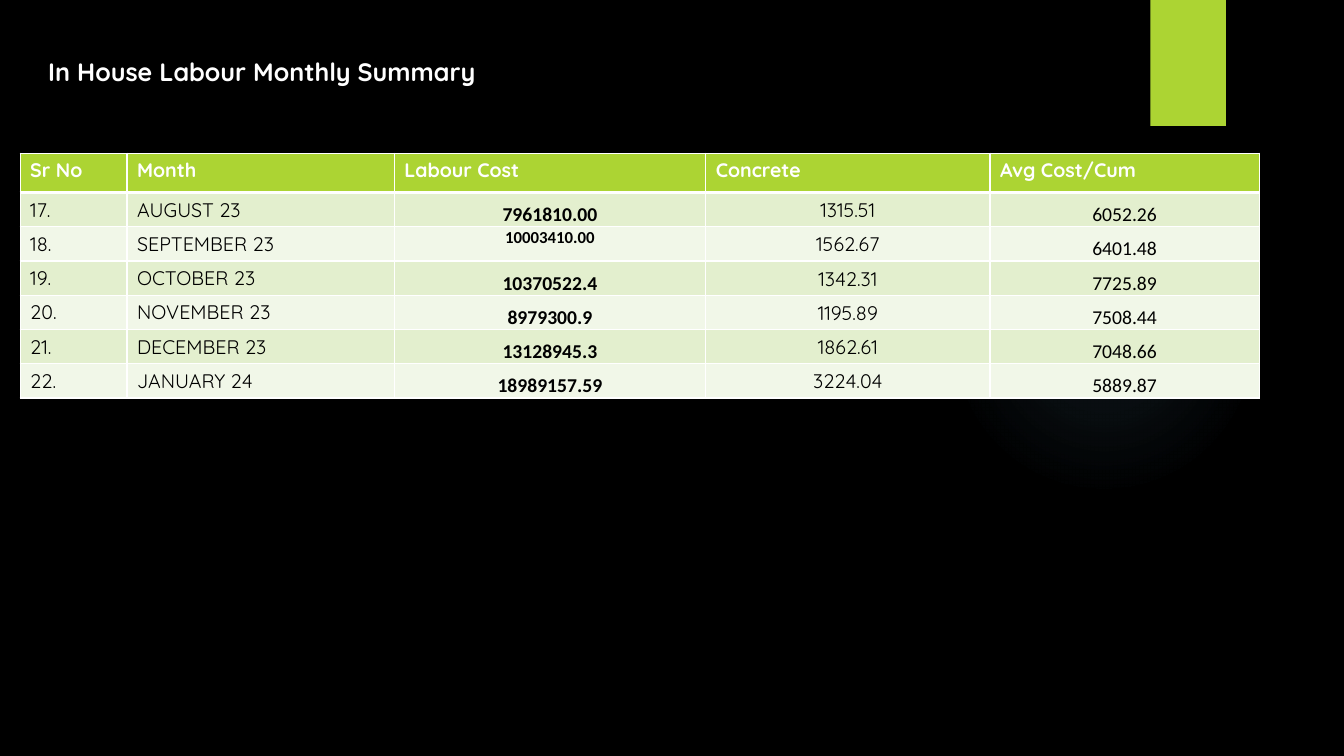
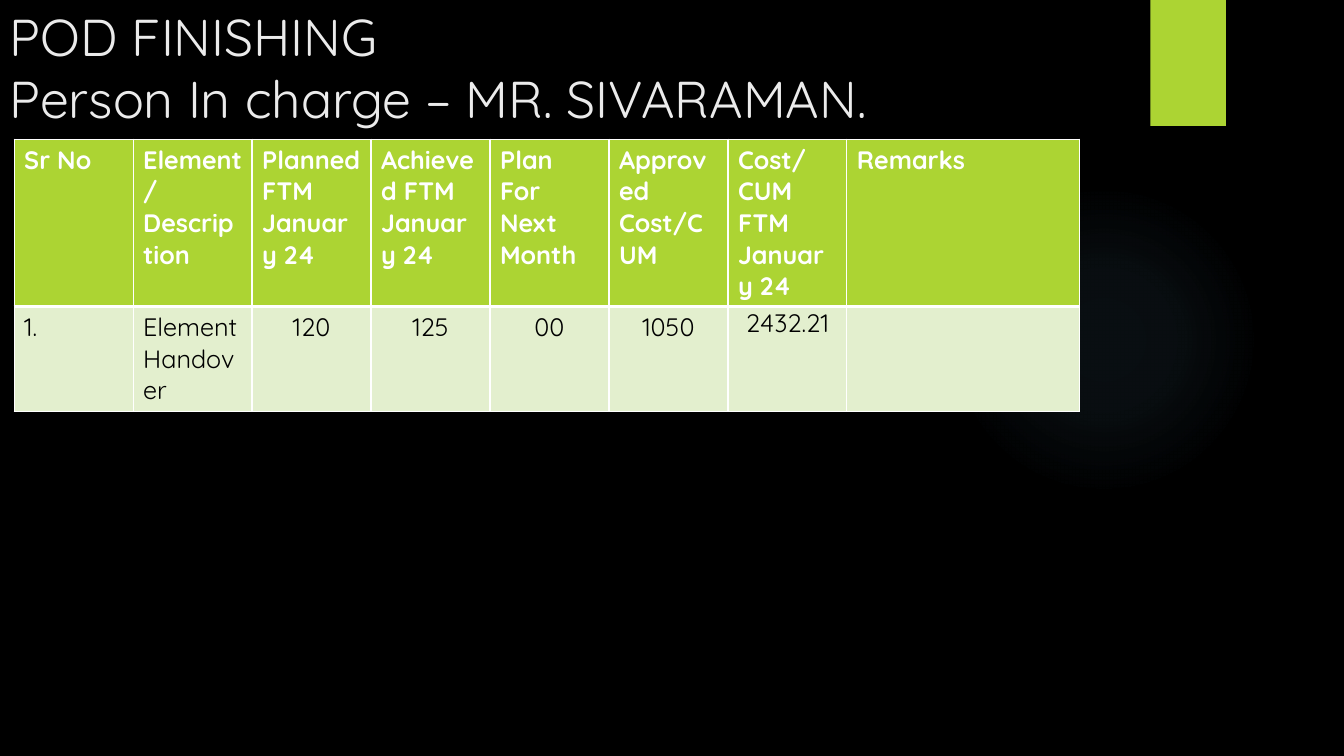
"""Build two dark slides with monthly labour and finishing tables."""
from dataclasses import dataclass, replace

from pptx import Presentation
from pptx.dml.color import RGBColor
from pptx.enum.shapes import MSO_SHAPE
from pptx.enum.text import MSO_ANCHOR, PP_ALIGN
from pptx.oxml import parse_xml
from pptx.oxml.ns import nsdecls, qn
from pptx.slide import Slide
from pptx.table import _Cell as Cell
from pptx.util import Inches, Pt

OVAL, RECT = MSO_SHAPE.OVAL, MSO_SHAPE.RECTANGLE
LEFT, MID = PP_ALIGN.LEFT, PP_ALIGN.CENTER
TOP, CORE, BASE = MSO_ANCHOR.TOP, MSO_ANCHOR.MIDDLE, MSO_ANCHOR.BOTTOM


@dataclass(frozen=True)
class Theme:
    """Colours, fonts and type sizes of the deck."""
    black: str = "000000"
    white: str = "FFFFFF"
    pale: str = "EBEBEB"
    lime: str = "ACD433"
    glow: str = "7AC4F0"
    bands: tuple[str, str] = ("E3EFCE", "F1F7E8")
    main: str = "Quicksand"
    plain: str = "Calibri"
    small: float = 12
    body: float = 14
    large: float = 18
    head: float = 37
    thin: float = 1
    thick: float = 3


THEME = Theme()


@dataclass(frozen=True)
class Style:
    """Look of a text run and of the cell that holds it."""
    size: float = THEME.body
    font: str = THEME.main
    ink: str = THEME.black
    bold: bool = False
    align: PP_ALIGN = LEFT
    anchor: MSO_ANCHOR = TOP
    tight: bool = False


@dataclass(frozen=True)
class Title:
    """Title lines with their box."""
    box: tuple[float, float, float, float]
    lines: tuple[str, ...]
    style: Style


@dataclass(frozen=True)
class Grid:
    """Table with its place, sizes, words and column styles."""
    left: float
    top: float
    cols: list[float]
    rows: list[float]
    cells: list[tuple[str, ...]]
    styles: list[Style]
    odd: dict[tuple[int, int], Style]


TEXT = Style()
COST = Style(font=THEME.plain, bold=True, align=MID, anchor=BASE, tight=True)
BIG = Style(size=THEME.large)
COUNT = replace(BIG, align=MID)

PAGES = [
    (
        Title((0.38, 0.51, 6.66, 0.71), ("In House Labour Monthly Summary",),
              Style(size=THEME.large, ink=THEME.white, bold=True)),
        Grid(
            0.2, 1.52, [1.06, 2.65, 3.09, 2.82, 2.67], [0.39] + [0.34] * 6,
            [
                ("Sr No", "Month", "Labour Cost", "Concrete", "Avg Cost/Cum"),
                ("17.", "AUGUST 23", "7961810.00", "1315.51", "6052.26"),
                ("18.", "SEPTEMBER 23", "10003410.00", "1562.67", "6401.48"),
                ("19.", "OCTOBER 23", "10370522.4", "1342.31", "7725.89"),
                ("20.", "NOVEMBER 23", "8979300.9", "1195.89", "7508.44"),
                ("21.", "DECEMBER 23", "13128945.3", "1862.61", "7048.66"),
                ("22.", "JANUARY 24", "18989157.59", "3224.04", "5889.87"),
            ],
            [TEXT, TEXT, COST, Style(align=MID, anchor=CORE, tight=True),
             replace(COST, bold=False)],
            {(2, 2): replace(COST, size=THEME.small, anchor=TOP)},
        ),
    ),
    (
        Title((0, 0, 9.65, 1.28),
              ("POD FINISHING", "Person In charge – MR. SIVARAMAN."),
              Style(size=THEME.head, ink=THEME.pale)),
        Grid(
            0.14, 1.38, [1.18] * 7 + [2.31], [1.66, 1.04],
            [
                ("Sr No", "Element/Description", "Planned FTM January 24",
                 "Achieved FTM January 24", "Plan For Next Month",
                 "Approved Cost/CUM", "Cost/CUM FTM January 24", "Remarks"),
                ("1.", "Element Handover", "120", "125", "00", "1050",
                 "2432.21", ""),
            ],
            [BIG] * 2 + [COUNT] * 4 + [replace(COUNT, tight=True), BIG],
            {},
        ),
    ),
]


def tint(code: str) -> RGBColor:
    """Turn a hex code into a colour."""
    return RGBColor.from_string(code)


def write(para, text: str, style: Style) -> None:
    """Add one styled run to a paragraph."""
    para.alignment = style.align
    run = para.add_run()
    run.text = text
    font = run.font
    font.name, font.size, font.bold = style.font, Pt(style.size), style.bold
    font.color.rgb = tint(style.ink)


def draw_back(slide: Slide) -> None:
    """Draw the black ground, the soft glow and the lime tab."""
    ground = slide.background.fill
    ground.solid()
    ground.fore_color.rgb = tint(THEME.black)

    glow = slide.shapes.add_shape(
        OVAL, Inches(9.41), Inches(1.83), Inches(3.08), Inches(3.08))
    glow.shadow.inherit = False
    glow.line.fill.background()
    glow.fill.background()
    stops = "".join(
        f'<a:gs pos="{pos * 1000}"><a:srgbClr val="{THEME.glow}">'
        f'<a:alpha val="{alpha * 1000}"/></a:srgbClr></a:gs>'
        for pos, alpha in ((0, 7), (36, 6), (69, 0), (100, 0)))
    props = glow.element.spPr
    props.replace(props.find(qn("a:noFill")), parse_xml(
        f'<a:gradFill {nsdecls("a")}><a:gsLst>{stops}</a:gsLst>'
        '<a:path path="circle"><a:fillToRect l="50000" t="50000" '
        'r="50000" b="50000"/></a:path></a:gradFill>'))

    tab = slide.shapes.add_shape(
        RECT, Inches(11.41), 0, Inches(0.75), Inches(1.25))
    tab.fill.solid()
    tab.fill.fore_color.rgb = tint(THEME.lime)
    tab.line.fill.background()
    tab.shadow.inherit = False
    tab.element.spPr.find(qn("a:effectLst")).append(parse_xml(
        f'<a:outerShdw {nsdecls("a")} blurRad="{Pt(3)}" dist="{Pt(2)}" '
        f'dir="5400000"><a:srgbClr val="{THEME.black}">'
        '<a:alpha val="45000"/></a:srgbClr></a:outerShdw>'))


def draw_title(slide: Slide, title: Title) -> None:
    """Draw the title, one line after another."""
    frame = slide.shapes.add_textbox(*map(Inches, title.box)).text_frame
    frame.word_wrap = True
    para = frame.paragraphs[0]
    for num, line in enumerate(title.lines):
        if num:
            para.add_line_break()
        write(para, line, title.style)


def edge(cell: Cell, top: float, base: float) -> None:
    """Put white lines on the four sides of a cell."""
    props = cell._tc.get_or_add_tcPr()
    for side, width in (("L", THEME.thin), ("R", THEME.thin),
                        ("T", top), ("B", base)):
        props.append(parse_xml(
            f'<a:ln{side} {nsdecls("a")} w="{Pt(width)}"><a:solidFill>'
            f'<a:srgbClr val="{THEME.white}"/></a:solidFill></a:ln{side}>'))


def fill_cell(cell: Cell, text: str, style: Style, shade: str) -> None:
    """Set the shade, the insets and the words of a cell."""
    cell.fill.solid()
    cell.fill.fore_color.rgb = tint(shade)
    cell.vertical_anchor = style.anchor
    if style.tight:
        cell.margin_left = cell.margin_right = cell.margin_top = Inches(0.01)
        cell.margin_bottom = 0
    if text:
        write(cell.text_frame.paragraphs[0], text, style)


def draw_grid(slide: Slide, grid: Grid) -> None:
    """Draw a table with a lime head and banded rows."""
    table = slide.shapes.add_table(
        len(grid.rows), len(grid.cols), Inches(grid.left), Inches(grid.top),
        Inches(sum(grid.cols)), Inches(sum(grid.rows))).table
    for col, width in zip(table.columns, grid.cols):
        col.width = Inches(width)
    for row, height in zip(table.rows, grid.rows):
        row.height = Inches(height)
    for y, words in enumerate(grid.cells):
        for x, text in enumerate(words):
            style = grid.odd.get((y, x), grid.styles[x])
            shade = THEME.bands[(y - 1) % 2]
            if y == 0:
                style = Style(size=style.size, ink=THEME.white, bold=True)
                shade = THEME.lime
            cell = table.cell(y, x)
            edge(cell, THEME.thick if y == 1 else THEME.thin,
                 THEME.thick if y == 0 else THEME.thin)
            fill_cell(cell, text, style, shade)


def main() -> None:
    """Build and save the deck."""
    deck = Presentation()
    deck.slide_width, deck.slide_height = Inches(13.33), Inches(7.5)
    for title, grid in PAGES:
        slide = deck.slides.add_slide(deck.slide_layouts[6])
        draw_back(slide)
        draw_title(slide, title)
        draw_grid(slide, grid)
    deck.save("out.pptx")


if __name__ == "__main__":
    main()
